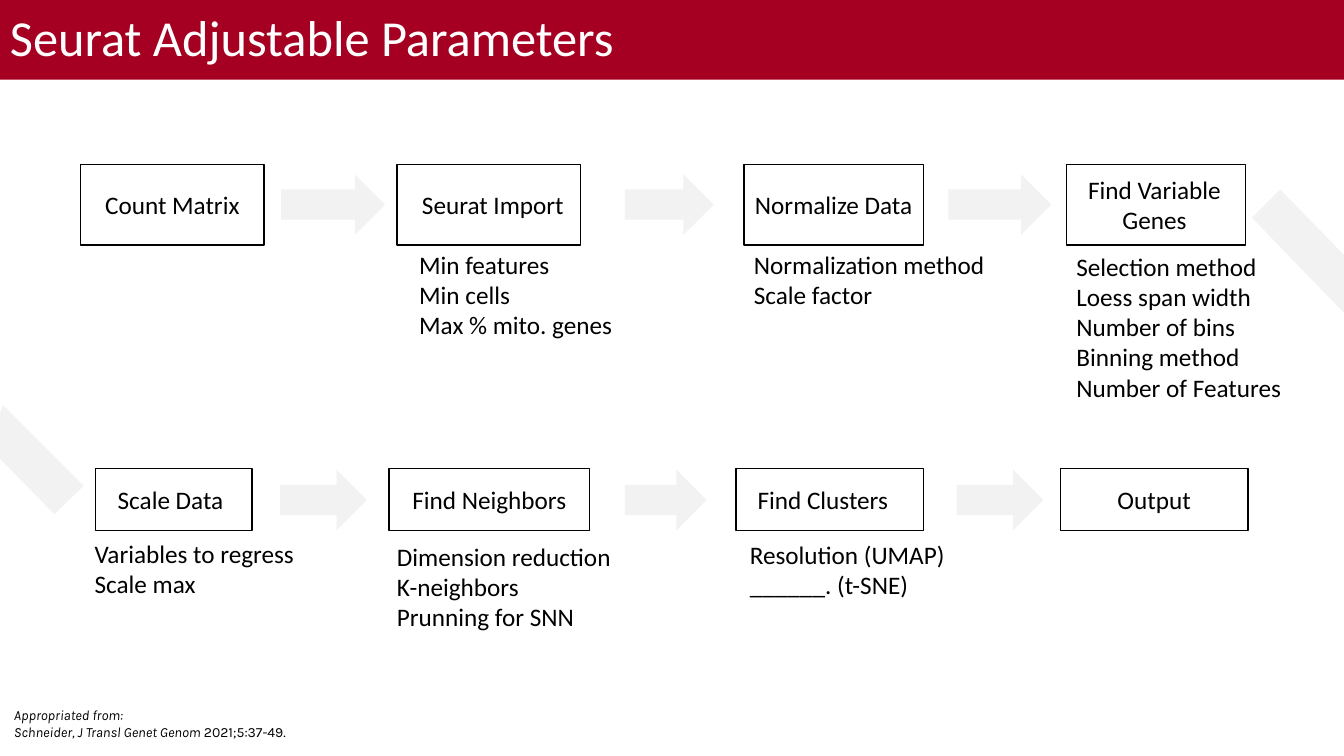
from pptx import Presentation
from pptx.dml.color import RGBColor
from pptx.enum.shapes import MSO_SHAPE
from pptx.enum.text import MSO_ANCHOR, PP_ALIGN
from pptx.util import Inches, Pt

COLS, ROWS = 40, 22.5
BLACK, WHITE, CRIMSON, PALE = "000000", "FFFFFF", "A50021", "F2F2F2"


def color(value):
    return RGBColor.from_string(value)


class FlowSlide:
    """Draws flow chart elements on a grid of 40 columns by 22.5 rows."""

    font, size = "Calibri", 18

    def __init__(self, prs):
        self.col = prs.slide_width / COLS
        self.row = prs.slide_height / ROWS
        self.shapes = prs.slides.add_slide(prs.slide_layouts[6]).shapes

    def place(self, x, y, w, h):
        return [round(n * unit) for n, unit in
                zip((x, y, w, h), (self.col, self.row) * 2)]

    def paint(self, sp, fill, line=None):
        sp.shadow.inherit = False
        sp.fill.solid()
        sp.fill.fore_color.rgb = color(fill)
        if line:
            sp.line.color.rgb = color(line)
            sp.line.width = Pt(1)
        else:
            sp.line.fill.background()
        return sp

    def style(self, r, size, ink, font):
        r.font.name = font
        r.font.size = Pt(size)
        r.font.color.rgb = color(ink)

    def label(self, sp, text, size=size, ink=BLACK, font=font, align=PP_ALIGN.LEFT):
        tf = sp.text_frame
        tf.text = text
        for p in tf.paragraphs:
            p.alignment = align
            for r in p.runs:
                self.style(r, size, ink, font)
        return tf

    def title(self, text, height):
        sp = self.shapes.add_shape(MSO_SHAPE.RECTANGLE, *self.place(0, 0, COLS, height))
        tf = self.label(self.paint(sp, CRIMSON), text, 36, WHITE)
        tf.vertical_anchor = MSO_ANCHOR.MIDDLE
        tf.paragraphs[0].line_spacing = 0.9

    def box(self, x, y, w, h, text, shift):
        sp = self.shapes.add_shape(MSO_SHAPE.RECTANGLE, *self.place(x, y, w, h))
        tf = self.label(self.paint(sp, WHITE, BLACK), text, align=PP_ALIGN.CENTER)
        tf.vertical_anchor = MSO_ANCHOR.MIDDLE
        tf.margin_left = round(max(shift, 0) * 2 * self.col)
        tf.margin_right = round(max(-shift, 0) * 2 * self.col)

    def note(self, x, y, w, h, text):
        sp = self.shapes.add_textbox(*self.place(x, y, w, h))
        self.label(sp, text).word_wrap = False

    def source(self, x, y, w, h, intro, journal, issue):
        sp = self.shapes.add_textbox(*self.place(x, y, w, h))
        tf = self.label(sp, f"{intro}\n{journal}", 10, font="Karla")
        tf.word_wrap = True
        for p in tf.paragraphs:
            p.runs[0].font.italic = True
        r = tf.paragraphs[1].add_run()
        r.text = issue
        self.style(r, 10, BLACK, "Karla")

    def arrow(self, x, y, w, h):
        sp = self.shapes.add_shape(MSO_SHAPE.RIGHT_ARROW, *self.place(x, y, w, h))
        self.paint(sp, PALE)

    def band(self, points):
        spots = [(round(x * self.col), round(y * self.row)) for x, y in points]
        builder = self.shapes.build_freeform(*spots[0], scale=1.0)
        builder.add_line_segments(spots[1:], close=True)
        self.paint(builder.convert_to_shape(), PALE)


LANES = [
    {"top": 4.89, "height": 2.4, "arrow_top": 5.19,
     "steps": [(2.4, 5.46, "Count Matrix", 0),
               (11.82, 5.46, "Seurat Import", 0.12),
               (22.14, 5.34, "Normalize Data", 0),
               (31.74, 5.34, "Find Variable\nGenes", -0.05)],
     "arrows": [(8.37, 3.09), (18.6, 2.64), (28.23, 3.06)],
     "notes": [(12.18, 7.26, 6.42, ["Min features", "Min cells", "Max % mito. genes"]),
               (22.14, 7.27, 7.59, ["Normalization method", "Scale factor"]),
               (31.74, 7.32, 6.78, ["Selection method", "Loess span width",
                                    "Number of bins", "Binning method",
                                    "Number of Features"])]},
    {"top": 13.95, "height": 1.84, "arrow_top": 13.98,
     "steps": [(2.85, 4.65, "Scale Data", -0.1),
               (11.58, 5.97, "Find Neighbors", 0),
               (21.9, 5.58, "Find Clusters", -0.2),
               (31.56, 5.58, "Output", 0)],
     "arrows": [(8.34, 2.58), (18.6, 2.43), (28.47, 2.58)],
     "notes": [(2.52, 15.87, 6.6, ["Variables to regress", "Scale max"]),
               (11.52, 15.96, 7.05, ["Dimension reduction", "K-neighbors",
                                     "Prunning for SNN"]),
               (22.02, 15.9, 6.48, ["Resolution (UMAP)", "______. (t-SNE)"])]},
]
BANDS = [
    [(38.1, 5.64), (40, 7.59), (40, 9.31), (37.26, 6.48)],
    [(1.62, 15.3), (0, 13.65), (0, 12.3), (0.09, 12.06), (2.49, 14.46)],
]


def main():
    prs = Presentation()
    prs.slide_width, prs.slide_height = Inches(13.33), Inches(7.5)
    s = FlowSlide(prs)
    s.title("Seurat Adjustable Parameters", 2.37)
    for lane in LANES:
        for x, w, text, shift in lane["steps"]:
            s.box(x, lane["top"], w, lane["height"], text, shift)
        for x, y, w, lines in lane["notes"]:
            s.note(x, y, w, 0.3 + 0.91 * len(lines), "\n".join(lines))
        for x, w in lane["arrows"]:
            s.arrow(x, lane["arrow_top"], w, 1.8)
    for points in BANDS:
        s.band(points)
    s.source(0.12, 20.88, 8.76, 1.32, "Appropriated from:",
             "Schneider, J Transl Genet Genom", " 2021;5:37-49.")
    prs.save("out.pptx")


if __name__ == "__main__":
    main()
